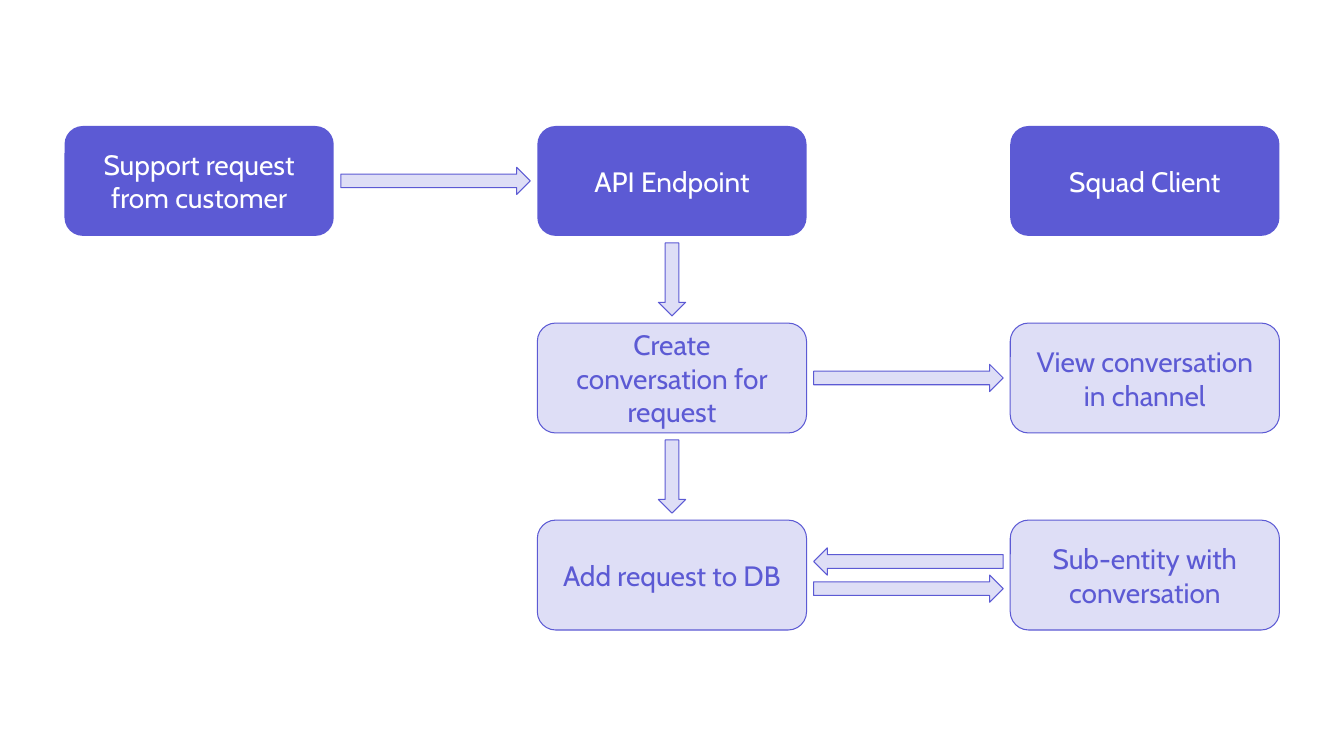
from dataclasses import dataclass
from pptx import Presentation
from pptx.dml.color import RGBColor
from pptx.enum.shapes import MSO_SHAPE
from pptx.enum.text import MSO_ANCHOR, PP_ALIGN
from pptx.util import Inches, Pt

SCALE = 4572  # EMU per px, 200 px to the inch
LEFT, TOP = 128, 250
STEP_X, STEP_Y = 938, 391
BOX_W, BOX_H = 534, 218
GAP, THICK = 14, 54


@dataclass(frozen=True)
class Theme:
    dark: RGBColor = RGBColor(0x5C, 0x5A, 0xD4)
    pale: RGBColor = RGBColor(0xDE, 0xDE, 0xF6)
    white: RGBColor = RGBColor(0xFF, 0xFF, 0xFF)
    font: str = "Cabin"
    size: Pt = Pt(20)
    line: Pt = Pt(0.75)


THEME = Theme()

# column, row, label; the top row holds the headings
BOXES = [
    (0, 0, "Support request from customer"),
    (1, 0, "API Endpoint"),
    (2, 0, "Squad Client"),
    (1, 1, "Create conversation for request"),
    (2, 1, "View conversation in channel"),
    (1, 2, "Add request to DB"),
    (2, 2, "Sub-entity with conversation"),
]

# column, row, shift down, rotation of arrows to the next column
ACROSS = [(0, 0, 0, 0), (1, 1, 0, 0), (1, 2, THICK // 2, 0), (1, 2, -THICK // 2, 180)]
DOWN = [(1, 0), (1, 1)]


def px(num):
    return round(num * SCALE)


def centre(col, row):
    """Middle of the box in a grid cell; half steps fall between boxes."""
    return LEFT + BOX_W / 2 + col * STEP_X, TOP + BOX_H / 2 + row * STEP_Y


def add_shape(slide, kind, mid, width, height, fill, line):
    x, y = mid
    shape = slide.shapes.add_shape(
        kind, px(x - width / 2), px(y - height / 2), px(width), px(height))
    shape.shadow.inherit = False
    shape.fill.solid()
    shape.fill.fore_color.rgb = fill
    if line:
        shape.line.color.rgb = line
        shape.line.width = THEME.line
    else:
        shape.line.fill.background()
    return shape


def add_box(slide, col, row, label):
    head = row == 0
    fill, line, ink = ((THEME.dark, None, THEME.white) if head
                       else (THEME.pale, THEME.dark, THEME.dark))
    box = add_shape(slide, MSO_SHAPE.ROUNDED_RECTANGLE, centre(col, row),
                    BOX_W, BOX_H, fill, line)
    frame = box.text_frame
    form = {"word_wrap": True, "vertical_anchor": MSO_ANCHOR.MIDDLE,
            "margin_left": px(40), "margin_right": px(40),
            "margin_top": px(32), "margin_bottom": px(32)}
    for name, value in form.items():
        setattr(frame, name, value)
    para = frame.paragraphs[0]
    para.alignment = PP_ALIGN.CENTER
    run = para.add_run()
    run.text = label
    for name, value in {"name": THEME.font, "size": THEME.size}.items():
        setattr(run.font, name, value)
    run.font.color.rgb = ink


def add_arrow(slide, mid, length, turn):
    arrow = add_shape(slide, MSO_SHAPE.RIGHT_ARROW, mid, length, THICK,
                      THEME.pale, THEME.dark)
    arrow.rotation = turn


def main():
    prs = Presentation()
    prs.slide_width, prs.slide_height = Inches(13.33), Inches(7.5)
    slide = prs.slides.add_slide(prs.slide_layouts[6])
    for col, row, label in BOXES:
        add_box(slide, col, row, label)
    for col, row, shift, turn in ACROSS:
        x, y = centre(col + 0.5, row)
        add_arrow(slide, (x, y + shift), STEP_X - BOX_W - 2 * GAP, turn)
    for col, row in DOWN:
        add_arrow(slide, centre(col, row + 0.5), STEP_Y - BOX_H - 2 * GAP, 90)
    prs.save("out.pptx")


if __name__ == "__main__":
    main()
